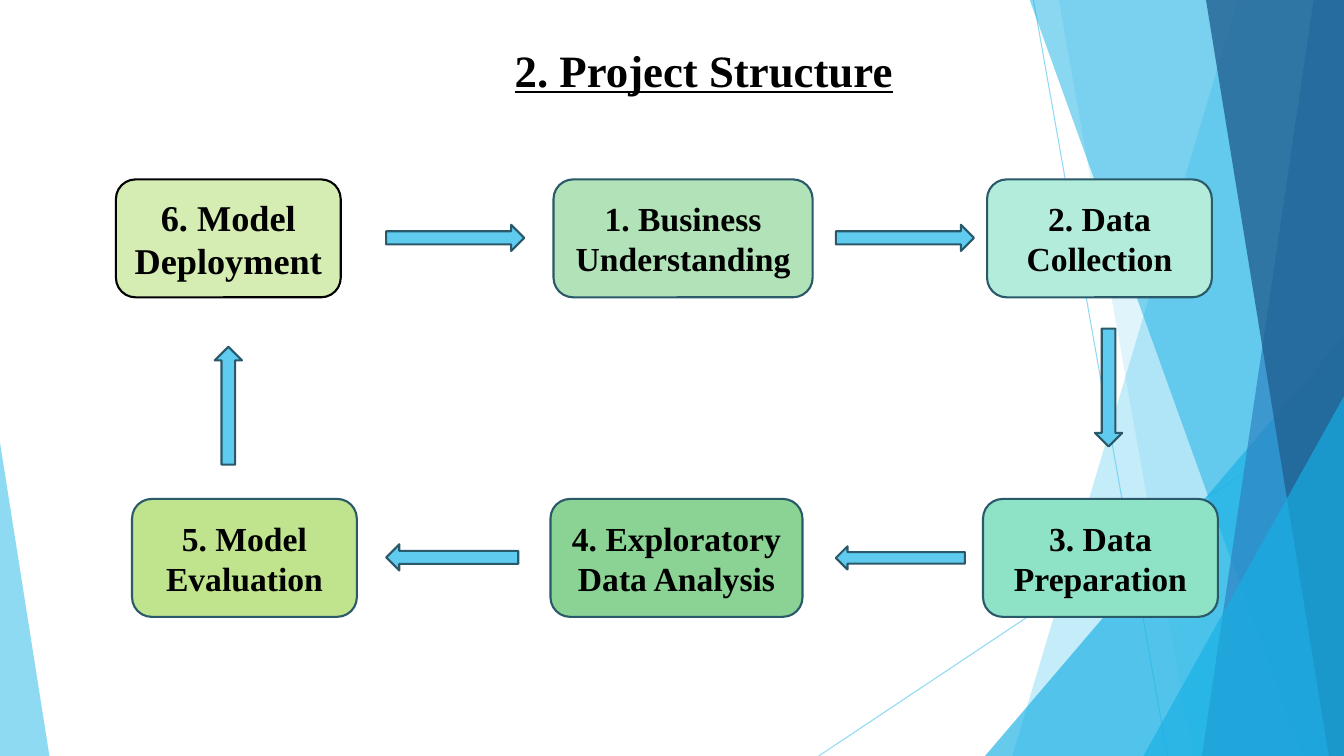
from lxml import etree
from pptx import Presentation
from pptx.dml.color import RGBColor
from pptx.enum.shapes import MSO_CONNECTOR, MSO_SHAPE as SHAPE
from pptx.enum.text import MSO_ANCHOR, PP_ALIGN
from pptx.oxml.ns import qn
from pptx.util import Inches, Pt

COLORS = {
    "black": "000000", "sky": "5FCBEF", "cyan": "17B0E4", "blue": "2E83C3",
    "navy": "226292", "outline": "2A5969", "business": "B1E2B8",
    "collection": "B3ECDA", "preparation": "8EE3C7", "analysis": "8AD394",
    "evaluation": "C0E38D", "deployment": "D5EDB3",
}
FONT = "Times New Roman"
WIDTH, HEIGHT = 13.33, 7.5


def paint(shape, fill, line=None, opacity=100):
    shape.shadow.inherit = False
    shape.fill.solid()
    shape.fill.fore_color.rgb = RGBColor.from_string(COLORS[fill])
    if opacity < 100:
        color = shape.fill._xPr.find(".//" + qn("a:srgbClr"))
        etree.SubElement(color, qn("a:alpha")).set("val", str(opacity * 1000))
    if line:
        shape.line.color.rgb = RGBColor.from_string(COLORS[line])
        shape.line.width = Pt(1.5)
    else:
        shape.line.fill.background()


def write(shape, text, size, anchor, underline=None):
    frame = shape.text_frame
    frame.text = text
    frame.word_wrap = True
    frame.vertical_anchor = anchor
    paragraph = frame.paragraphs[0]
    paragraph.alignment = PP_ALIGN.CENTER
    font = paragraph.runs[0].font
    settings = {"name": FONT, "size": Pt(size), "bold": True, "underline": underline}
    for name, value in settings.items():
        setattr(font, name, value)
    font.color.rgb = RGBColor.from_string(COLORS["black"])


presentation = Presentation()
presentation.slide_width = Inches(WIDTH)
presentation.slide_height = Inches(HEIGHT)
slide = presentation.slides.add_slide(presentation.slide_layouts[5])
shapes = slide.shapes

for start_x, start_y, end_x in [(10.25, 0, 11.58), (WIDTH, 4.03, 8.12)]:
    ray = shapes.add_connector(
        MSO_CONNECTOR.STRAIGHT, Inches(start_x), Inches(start_y), Inches(end_x), Inches(HEIGHT))
    ray.line.color.rgb = RGBColor.from_string(COLORS["sky"])
    ray.line.width = Pt(0.75)
    properties = ray._element.spPr
    ray_color = properties.find(".//" + qn("a:srgbClr"))
    etree.SubElement(ray_color, qn("a:alpha")).set("val", "70000")
    etree.SubElement(properties, qn("a:effectLst"))

facets = [
    ("band", 12.28, 10.04, "sky", 36),
    ("band", 10.5, 11.83, "sky", 20),
    ("triangle", (9.77, 3.33, 3.56, 4.17), 1, "cyan", 66),
    ("band", 10.21, 12.91, "cyan", 50),
    ("band", 13.03, 11.92, "blue", 70),
    ("band", 11.96, 13.18, "navy", 80),
    ("triangle", (11.34, 3.93, 1.99, 3.57), 1, "cyan", 66),
    ("triangle", (0, 4.39, 0.49, 3.11), 0, "sky", 70),
]
for kind, first, second, color, opacity in facets:
    if kind == "band":
        builder = shapes.build_freeform(Inches(first), Inches(-0.01), scale=1.0)
        corners = [(WIDTH, -0.01), (WIDTH, HEIGHT), (second, HEIGHT)]
        builder.add_line_segments([(Inches(x), Inches(y)) for x, y in corners], close=True)
        facet = builder.convert_to_shape()
    else:
        facet = shapes.add_shape(SHAPE.ISOSCELES_TRIANGLE, *map(Inches, first))
        facet.adjustments[0] = second
    paint(facet, color, opacity=opacity)

title = shapes.title
title_box = {"left": 0.74, "top": 0.37, "width": 12.48, "height": 0.8}
for name, value in title_box.items():
    setattr(title, name, Inches(value))
write(title, "2. Project Structure", 32, MSO_ANCHOR.TOP, underline=True)
shapes._spTree.append(title._element)

TOP_ROW, BOTTOM_ROW, STEP_HEIGHT = 1.78, 4.95, 1.17
steps = [
    ("1. Business Understanding", 5.49, TOP_ROW, 2.57, "business", "outline", 24),
    ("2. Data Collection", 9.79, TOP_ROW, 2.23, "collection", "outline", 24),
    ("3. Data Preparation", 9.75, BOTTOM_ROW, 2.33, "preparation", "outline", 24),
    ("4. Exploratory Data Analysis", 5.46, BOTTOM_ROW, 2.5, "analysis", "outline", 24),
    ("5. Model Evaluation", 1.31, BOTTOM_ROW, 2.23, "evaluation", "outline", 24),
    ("6. Model Deployment", 1.15, TOP_ROW, 2.23, "deployment", "black", 25.9),
]
for text, left, top, width, fill, line, size in steps:
    step = shapes.add_shape(
        SHAPE.ROUNDED_RECTANGLE, Inches(left), Inches(top), Inches(width), Inches(STEP_HEIGHT))
    paint(step, fill, line)
    write(step, text, size, MSO_ANCHOR.MIDDLE)

arrows = [
    (SHAPE.RIGHT_ARROW, 3.83, 2.23, 1.37, 0.26),
    (SHAPE.RIGHT_ARROW, 8.29, 2.23, 1.37, 0.26),
    (SHAPE.DOWN_ARROW, 10.86, 3.26, 0.27, 1.17),
    (SHAPE.LEFT_ARROW, 8.29, 5.42, 1.28, 0.23),
    (SHAPE.LEFT_ARROW, 3.83, 5.4, 1.31, 0.26),
    (SHAPE.UP_ARROW, 2.13, 3.44, 0.27, 1.17),
]
for direction, *box in arrows:
    arrow = shapes.add_shape(direction, *map(Inches, box))
    paint(arrow, "sky", "outline")

presentation.save("out.pptx")
